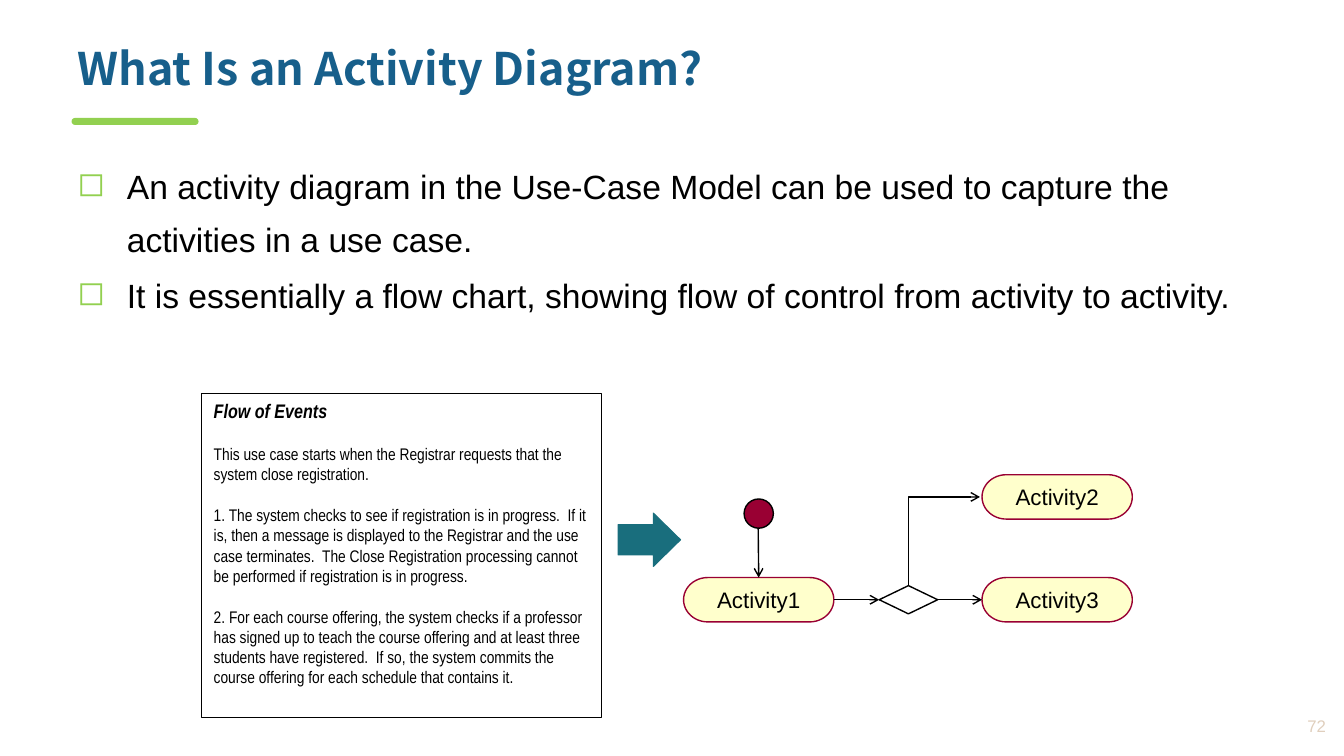
from dataclasses import dataclass

from lxml import etree
from pptx import Presentation, util as u
from pptx.dml.color import RGBColor
from pptx.enum import shapes, text
from pptx.oxml.ns import qn

PX = 9144
KIND = shapes.MSO_SHAPE
ALIGN = text.PP_ALIGN


@dataclass(frozen=True)
class Theme:
    title: str = "175F8B"
    green: str = "92D050"
    teal: str = "196E7D"
    red: str = "990033"
    cream: str = "FFFFCC"
    black: str = "000000"
    page: str = "E0CFBD"
    head: str = "Noto Sans CJK SC"
    body: str = "Arial"
    thin: str = "Arial Narrow"
    big: int = 32
    main: int = 24
    label: int = 16
    lead: int = 14
    small: int = 12


@dataclass(frozen=True)
class Box:
    x: int
    y: int
    w: int
    h: int

    def emu(self) -> list[int]:
        return [v * PX for v in (self.x, self.y, self.w, self.h)]


@dataclass(frozen=True)
class Step:
    name: str
    box: Box


T = Theme()

STEPS = [
    Step("Activity1", Box(678, 573, 149, 44)),
    Step("Activity2", Box(974, 471, 149, 44)),
    Step("Activity3", Box(974, 573, 149, 44)),
]

POINTS = [
    "An activity diagram in the Use-Case Model can be used to capture the activities in a use case.",
    "It is essentially a flow chart, showing flow of control from activity to activity.",
]

EVENTS = [
    "This use case starts when the Registrar requests that the system close registration.",
    "1. The system checks to see if registration is in progress.  If it is, then a message is "
    "displayed to the Registrar and the use case terminates.  The Close Registration processing "
    "cannot be performed if registration is in progress.",
    "2. For each course offering, the system checks if a professor has signed up to teach the "
    "course offering and at least three students have registered.  If so, the system commits the "
    "course offering for each schedule that contains it.",
]


def paint(shape, fill: str | None = None, line: str | None = None, width: float = 1):
    shape.shadow.inherit = False
    if fill:
        shape.fill.solid()
        shape.fill.fore_color.rgb = RGBColor.from_string(fill)
    else:
        shape.fill.background()
    if line:
        shape.line.color.rgb = RGBColor.from_string(line)
        shape.line.width = u.Pt(width)
    else:
        shape.line.fill.background()
    return shape


def draw(slide, kind, box: Box, adjust: tuple = (), **style):
    shape = slide.shapes.add_shape(kind, *box.emu())
    for i, value in enumerate(adjust):
        shape.adjustments[i] = value
    return paint(shape, **style)


def frame(shape, inset: tuple[int, int] = (10, 5), anchor=text.MSO_ANCHOR.TOP, wrap: bool = True):
    area = shape.text_frame
    area.word_wrap = wrap
    area.auto_size = text.MSO_AUTO_SIZE.NONE
    area.vertical_anchor = anchor
    area.margin_left = area.margin_right = inset[0] * PX
    area.margin_top = area.margin_bottom = inset[1] * PX
    return area


def mark(para, sign: str, color: str, indent: int) -> None:
    props = para._p.get_or_add_pPr()
    props.set("marL", str(indent * PX))
    props.set("indent", str(-indent * PX))
    tint = etree.SubElement(props, qn("a:buClr"))
    etree.SubElement(tint, qn("a:srgbClr"), val=color)
    etree.SubElement(props, qn("a:buChar"), char=sign)


def write(area, words: str, *, size: int, font: str = T.body, color: str = T.black,
          bold: bool = False, italic: bool = False, align=ALIGN.LEFT, before: int = 0,
          after: int = 0, lines: float = 1, bullet: str = "") -> None:
    first = not area.paragraphs[0].runs
    para = area.paragraphs[0] if first else area.add_paragraph()
    para.alignment = align
    para.line_spacing = lines
    para.space_before = u.Pt(0 if first else before)
    para.space_after = u.Pt(after)
    if bullet:
        mark(para, bullet, T.green, 49)
    run = para.add_run()
    run.text = words
    run.font.name = font
    run.font.size = u.Pt(size)
    run.font.bold = bold
    run.font.italic = italic
    run.font.color.rgb = RGBColor.from_string(color)


def tip(shape) -> None:
    line = shape.line._get_or_add_ln()
    etree.SubElement(line, qn("a:tailEnd"), type="arrow", w="med", len="med")


def arrow(slide, start: tuple[int, int], goal, side: int, source=None) -> None:
    x, y = (v * PX for v in start)
    link = slide.shapes.add_connector(shapes.MSO_CONNECTOR.STRAIGHT, x, y, x, y)
    if source is not None:
        link.begin_connect(source, 3)
    link.end_connect(goal, side)
    link.line.color.rgb = RGBColor.from_string(T.black)
    link.line.width = u.Pt(1)
    tip(link)
    etree.SubElement(link._element.spPr, qn("a:effectLst"))


def bend(slide, dots: list[tuple[int, int]]) -> None:
    pen = slide.shapes.build_freeform(*dots[0], scale=PX)
    pen.add_line_segments(dots[1:], close=False)
    tip(paint(pen.convert_to_shape(), line=T.black))


def prose(slide) -> None:
    title = frame(slide.shapes.add_textbox(*Box(67, 41, 1219, 75).emu()))
    write(title, "What Is an Activity Diagram?", size=T.big, font=T.head,
          color=T.title, bold=True, lines=0.9)
    draw(slide, KIND.ROUND_2_SAME_RECTANGLE, Box(71, 117, 126, 7), (0.5, 0.5), fill=T.green)
    body = frame(slide.shapes.add_textbox(*Box(67, 148, 1220, 200).emu()))
    for point in POINTS:
        write(body, point, size=T.main, after=3, lines=1.3, bullet="◻")
    page = frame(slide.shapes.add_textbox(*Box(1212, 701, 113, 38).emu()),
                 anchor=text.MSO_ANCHOR.MIDDLE)
    write(page, "72", size=T.small, color=T.page, align=ALIGN.RIGHT)


def events(slide) -> None:
    panel = draw(slide, KIND.RECTANGLE, Box(200, 390, 397, 322), line=T.black, width=0.75)
    area = frame(panel, (12, 6))
    write(area, "Flow of Events", size=T.lead, font=T.thin, bold=True, italic=True, after=3)
    for event in EVENTS:
        write(area, event, size=T.small, font=T.thin, before=12, after=3)
    draw(slide, KIND.RIGHT_ARROW, Box(613, 509, 62, 53), (0.57, 0.51),
         fill=T.teal, line=T.teal, width=0.75)


def flow(slide) -> None:
    nodes = []
    for step in STEPS:
        node = draw(slide, KIND.FLOWCHART_TERMINATOR, step.box, fill=T.cream, line=T.red)
        write(frame(node, (0, 0), text.MSO_ANCHOR.MIDDLE, False), step.name,
              size=T.label, align=ALIGN.CENTER)
        nodes.append(node)
    one, _, three = nodes
    draw(slide, KIND.OVAL, Box(738, 495, 29, 29), fill=T.red, line=T.black)
    fork = draw(slide, KIND.DIAMOND, Box(872, 581, 58, 28), line=T.black)
    arrow(slide, (752, 524), one, 0)
    arrow(slide, (827, 595), fork, 1, one)
    arrow(slide, (930, 595), three, 1, fork)
    bend(slide, [(901, 581), (901, 493), (972, 493)])


def main() -> None:
    deck = Presentation()
    deck.slide_width, deck.slide_height = 1333 * PX, 750 * PX
    slide = deck.slides.add_slide(deck.slide_layouts[6])
    prose(slide)
    events(slide)
    flow(slide)
    deck.save("out.pptx")


if __name__ == "__main__":
    main()
